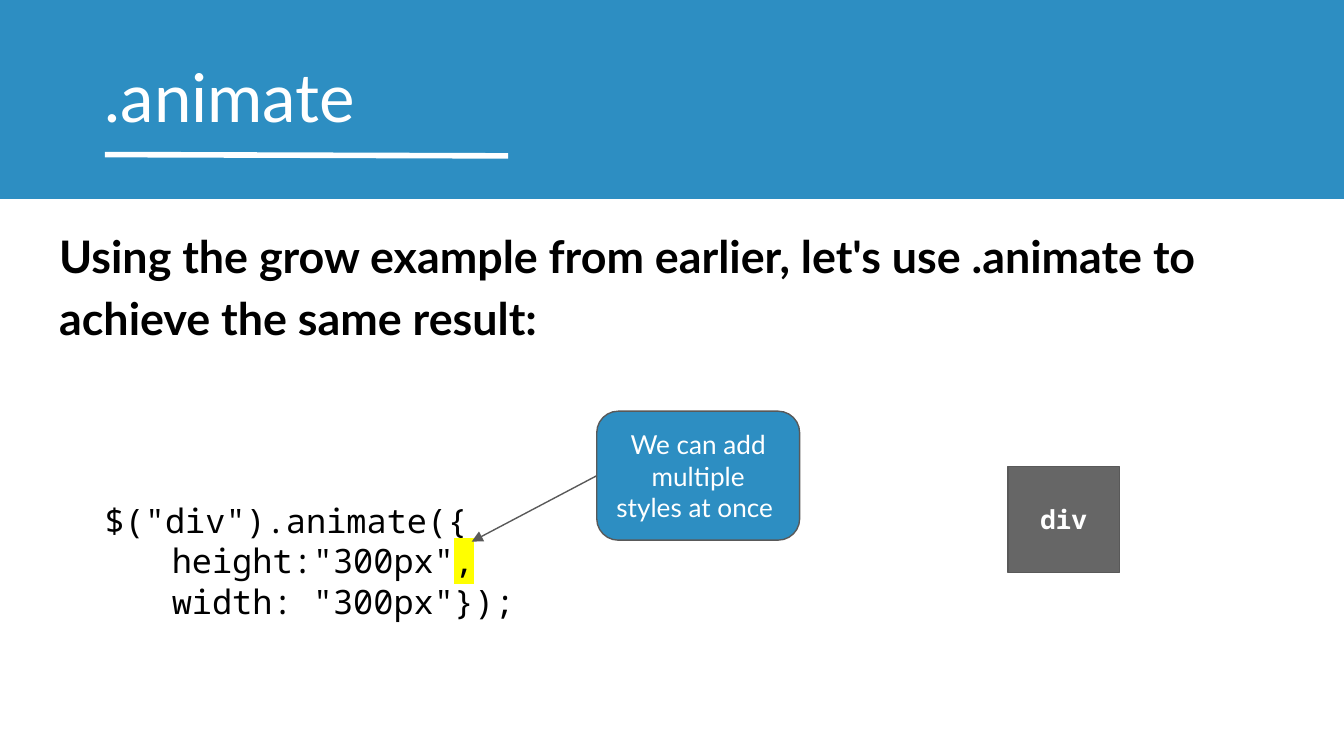
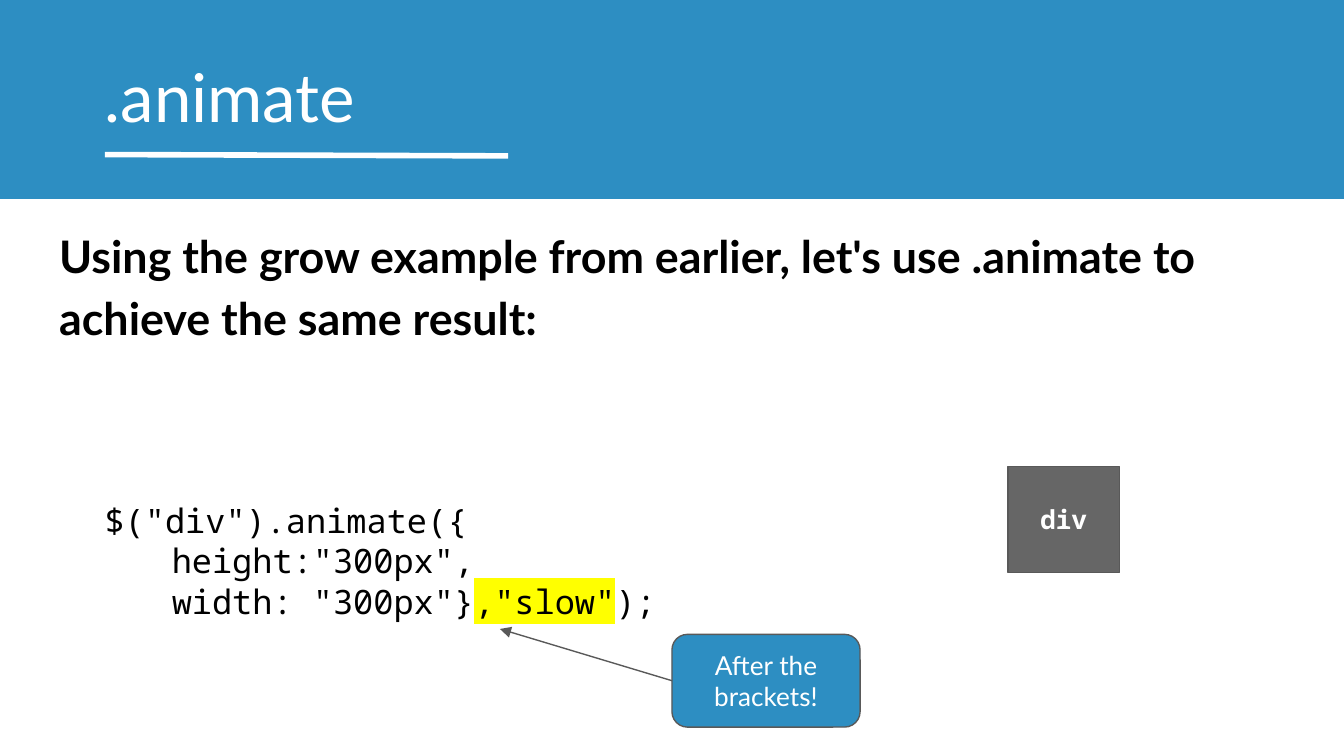
import dataclasses

import lxml.etree
import pptx
import pptx.dml.color
import pptx.enum.shapes
import pptx.enum.text
import pptx.oxml.ns
import pptx.util

Inches = pptx.util.Inches
Shape = pptx.enum.shapes.MSO_SHAPE
Anchor = pptx.enum.text.MSO_ANCHOR
Align = pptx.enum.text.PP_ALIGN
qn = pptx.oxml.ns.qn


@dataclasses.dataclass(frozen=True)
class Theme:
    """Colours, fonts and type sizes shared by the slides."""
    blue: str = "2D8EC2"
    white: str = "FFFFFF"
    black: str = "000000"
    grey: str = "666666"
    outline: str = "595959"
    marker: str = "FFFF00"
    text_font: str = "Lato"
    code_font: str = "Noto Sans Mono"
    title_size: int = 36
    body_size: int = 24
    code_size: int = 18
    label_size: int = 14


THEME = Theme()


def rgb(value):
    """Turn a hex string into a colour."""
    return pptx.dml.color.RGBColor.from_string(value)


def add_span(para, text, size, color, font=THEME.text_font, bold=False, marked=False):
    """Add one formatted run, with a highlight if marked."""
    span = para.add_run()
    span.text = text
    span.font.name = font
    span.font.size = pptx.util.Pt(size)
    span.font.bold = bold
    span.font.color.rgb = rgb(color)
    if marked:
        highlight = lxml.etree.Element(qn("a:highlight"))
        lxml.etree.SubElement(highlight, qn("a:srgbClr"), val=THEME.marker)
        span._r.get_or_add_rPr().find(qn("a:solidFill")).addnext(highlight)


def set_frame(box, anchor):
    """Set wrapping, insets and anchor, and return the text frame."""
    frame = box.text_frame
    frame.word_wrap = True
    frame.auto_size = pptx.enum.text.MSO_AUTO_SIZE.NONE
    frame.vertical_anchor = anchor
    frame.margin_left = frame.margin_right = Inches(0.1)
    frame.margin_top = frame.margin_bottom = Inches(0.1)
    return frame


def set_indent(para, first_line):
    """Set a first-line indent with no left margin."""
    properties = para._p.get_or_add_pPr()
    properties.set("marL", "0")
    properties.set("indent", str(Inches(first_line)))
    return properties


def fill_placeholder(box, place, text, size, color, bold=False):
    """Move a placeholder and write its text flush left, without a bullet."""
    box.left, box.top, box.width, box.height = map(Inches, place)
    para = set_frame(box, Anchor.TOP).paragraphs[0]
    para.alignment = Align.LEFT
    para.space_before = pptx.util.Pt(0)
    lxml.etree.SubElement(set_indent(para, 0), qn("a:buNone"))
    add_span(para, text, size, color, bold=bold)
    return para


def add_panel(page, kind, place, fill):
    """Add a filled shape without outline or shadow."""
    panel = page.shapes.add_shape(kind, *map(Inches, place))
    panel.shadow.inherit = False
    panel.fill.solid()
    panel.fill.fore_color.rgb = rgb(fill)
    panel.line.fill.background()
    return panel


def add_label(page, kind, place, fill, text, font=THEME.text_font, bold=False):
    """Add an outlined shape with centred white text."""
    panel = add_panel(page, kind, place, fill)
    panel.line.color.rgb = rgb(THEME.outline)
    panel.line.width = pptx.util.Pt(0.75)
    para = set_frame(panel, Anchor.MIDDLE).paragraphs[0]
    para.alignment = Align.CENTER
    add_span(para, text, THEME.label_size, THEME.white, font, bold)


def add_line(page, start, end, color, width, arrow=False):
    """Add a straight line, with an arrowhead at its end if asked."""
    line = page.shapes.add_connector(
        pptx.enum.shapes.MSO_CONNECTOR.STRAIGHT, *map(Inches, start + end))
    line.line.color.rgb = rgb(color)
    line.line.width = pptx.util.Pt(width)
    properties = line.element.spPr
    if arrow:
        lxml.etree.SubElement(properties.find(qn("a:ln")), qn("a:tailEnd"), type="triangle")
    lxml.etree.SubElement(properties, qn("a:effectLst"))
    return line


def add_code(page, lines):
    """Add the code; each line is a list of (text, marked) pairs."""
    box = page.shapes.add_textbox(*map(Inches, (0.68, 3.62, 7.07, 1.1)))
    frame = set_frame(box, Anchor.MIDDLE)
    for number, spans in enumerate(lines):
        para = frame.add_paragraph() if number else frame.paragraphs[0]
        set_indent(para, 0.5 if number else 0)
        for text, marked in spans:
            add_span(para, text, THEME.code_size, THEME.black, THEME.code_font, marked=marked)


def add_callout(page, place, text, tip):
    """Add a rounded note with an arrow from its left side to the tip."""
    left, top, width, height = place
    add_label(page, Shape.ROUNDED_RECTANGLE, place, THEME.blue, text)
    add_line(page, (left, top + height / 2), tip, THEME.outline, 0.75, arrow=True)


def add_header(page, layout):
    """Draw the title band and rule and keep them in the layout."""
    band = add_panel(page, Shape.RECTANGLE, (0, 0, 10, 1.48), THEME.blue)
    rule = add_line(page, (0.78, 1.15), (3.78, 1.16), THEME.white, 3)
    for offset, item in enumerate((band, rule)):
        item.element.xpath(".//p:cNvPr")[0].set("id", str(100 + offset))
        layout.shapes.element.insert(2 + offset, item.element)


def add_page(deck, layout, code, note_place, note, tip):
    """Add one slide of the animate example."""
    page = deck.slides.add_slide(layout)
    fill_placeholder(page.shapes.title, (0.68, 0.31, 9.32, 0.63),
                     ".animate", THEME.title_size, THEME.white)
    para = fill_placeholder(
        page.placeholders[1], (0.34, 1.54, 9.32, 1.04),
        "Using the grow example from earlier, let's use .animate to achieve the same result:",
        THEME.body_size, THEME.black, bold=True)
    para.line_spacing = 1.15
    para.space_after = pptx.util.Pt(16)
    add_label(page, Shape.RECTANGLE, (7.5, 3.47, 0.83, 0.79), THEME.grey,
              "div", THEME.code_font, bold=True)
    add_code(page, [[('$("div").animate({', False)]] + code)
    add_callout(page, note_place, note, tip)
    return page


def main():
    """Build and save the deck."""
    deck = pptx.Presentation()
    deck.slide_width = Inches(10)
    deck.slide_height = deck.slide_width * 9 // 16
    layout = deck.slide_layouts[1]
    page = add_page(
        deck, layout,
        [[('height:"300px"', False), (",", True)],
         [('width: "300px"});', False)]],
        (4.44, 3.06, 1.51, 0.96), "We can add multiple styles at once ", (3.51, 4.03))
    add_header(page, layout)
    add_page(
        deck, layout,
        [[('height:"300px",', False)],
         [('width: "300px"}', False), (',"slow"', True), (");", False)]],
        (5, 4.72, 1.4, 0.69), "After the brackets!", (3.72, 4.68))
    deck.save("out.pptx")


main()
